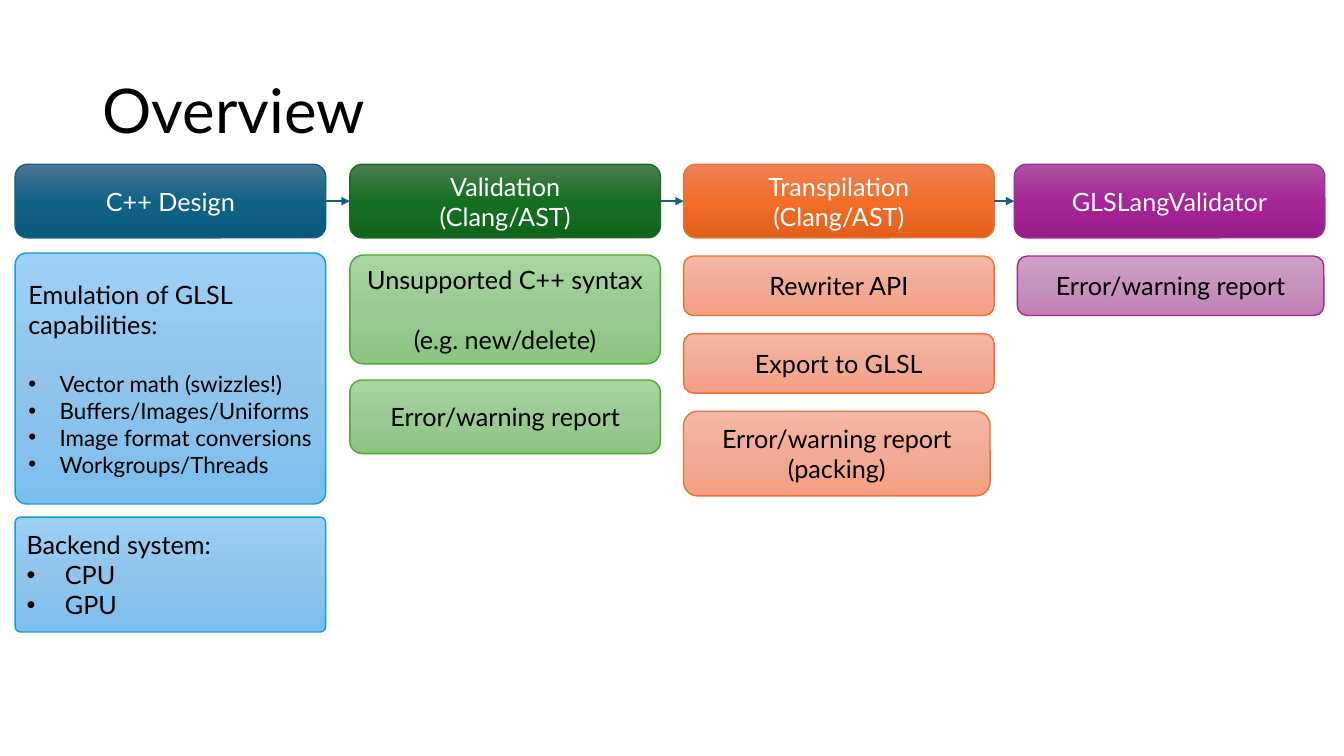
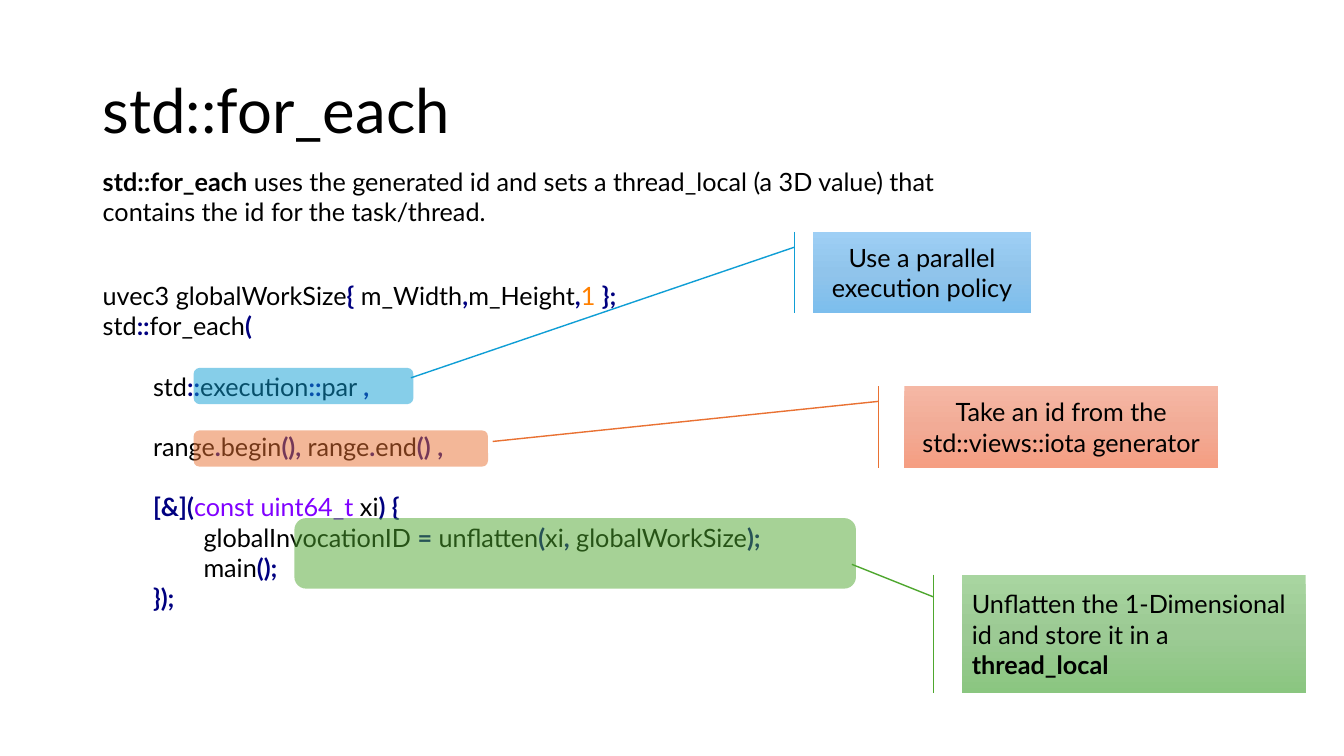
import copy
import itertools
from dataclasses import dataclass

import lxml.etree
import pptx
import pptx.dml.color
import pptx.enum.shapes
import pptx.enum.text
import pptx.oxml.ns
import pptx.shapes.autoshape
import pptx.slide
import pptx.text.text
import pptx.util

Inches, Pt = pptx.util.Inches, pptx.util.Pt
MSO_SHAPE = pptx.enum.shapes.MSO_SHAPE
PP_ALIGN = pptx.enum.text.PP_ALIGN
MIDDLE = pptx.enum.text.MSO_ANCHOR.MIDDLE
qn = pptx.oxml.ns.qn

# Shared style
FONT = "Lato"
BODY_SIZE = 18
BLANK_LINE = 21.6
COLORS = {
    "text": "000000", "white": "FFFFFF", "arrow": "156082",
    "blue": "0F9ED5", "green": "4EA72E", "orange": "E97132", "purple": "A02B93",
    "navy": "156082", "forest": "196B24",
    "symbol": "000080", "number": "FF8000", "keyword": "8000FF",
}
GRADIENTS = {
    "navy": ("4C7591", "106287", "09597D"),
    "forest": ("4D7E50", "156F21", "0F661B"),
    "vivid orange": ("ED8257", "F26E29", "E25F1A"),
    "vivid purple": ("AC53A0", "A62598", "991C8B"),
    "blue": ("9ECFF5", "90C4EB", "7CBEED"),
    "green": ("A8D5A0", "9CCA94", "8AC680"),
    "orange": ("F5B8A5", "F2AB96", "F59E82"),
    "purple": ("D0A0C8", "C693BD", "C17FB6"),
}


@dataclass(frozen=True)
class Line:
    text: str
    size: float = BODY_SIZE
    indent: float = 0
    gap: float = 0
    bold: str = ""


@dataclass(frozen=True)
class Detail:
    left: float
    top: float
    width: float
    height: float
    lines: tuple[Line, ...]
    centred: bool = True
    corner: float = 0.167


@dataclass(frozen=True)
class Stage:
    left: float
    heading: tuple[Line, ...]
    heading_fill: str
    heading_line: str
    detail_color: str
    details: tuple[Detail, ...]


@dataclass(frozen=True)
class Callout:
    color: str
    highlight: tuple[float, float, float, float]
    note: tuple[float, float, float, float]
    pointer: tuple[float, float]
    line: Line
    centred: bool = True


def rgb(name: str) -> pptx.dml.color.RGBColor:
    return pptx.dml.color.RGBColor.from_string(COLORS.get(name, name))


def add_run(paragraph: pptx.text.text._Paragraph, text: str, size: float,
            color: str, bold: bool = False) -> None:
    run = paragraph.add_run()
    run.text = text
    run.font.name = FONT
    run.font.size = Pt(size)
    run.font.bold = bold
    run.font.color.rgb = rgb(color)


def write_lines(frame: pptx.text.text.TextFrame, lines: tuple[Line, ...],
                color: str = "text", centred: bool = False) -> None:
    frame.word_wrap = True
    for number, line in enumerate(lines):
        paragraph = frame.add_paragraph() if number else frame.paragraphs[0]
        if line.indent:
            properties = paragraph._p.get_or_add_pPr()
            properties.set("marL", str(Inches(line.indent)))
            properties.set("indent", str(-Inches(line.indent)))
            lxml.etree.SubElement(properties, qn("a:buFont")).set("typeface", "Arial")
            lxml.etree.SubElement(properties, qn("a:buChar")).set("char", "•")
        paragraph.alignment = PP_ALIGN.CENTER if centred else PP_ALIGN.LEFT
        if line.gap:
            paragraph.space_before = Pt(line.gap)
        parts = line.text.partition(line.bold) if line.bold else (line.text,)
        for part in filter(None, parts):
            add_run(paragraph, part, line.size, color, part == line.bold)


def add_text(slide: pptx.slide.Slide, left: float, top: float, width: float,
             height: float) -> pptx.text.text.TextFrame:
    box = slide.shapes.add_textbox(Inches(left), Inches(top), Inches(width), Inches(height))
    box.text_frame.word_wrap = True
    return box.text_frame


def add_title(slide: pptx.slide.Slide, text: str) -> None:
    frame = add_text(slide, 0.92, 0.4, 11.5, 1.45)
    frame.vertical_anchor = MIDDLE
    write_lines(frame, (Line(text, 44),))
    frame.paragraphs[0].line_spacing = 0.9


def add_panel(slide: pptx.slide.Slide, kind: MSO_SHAPE, left: float, top: float,
              width: float, height: float) -> pptx.shapes.autoshape.Shape:
    panel = slide.shapes.add_shape(
        kind, Inches(left), Inches(top), Inches(width), Inches(height))
    panel.shadow.inherit = False
    panel.text_frame.vertical_anchor = MIDDLE
    return panel


def paint_gradient(panel: pptx.shapes.autoshape.Shape, gradient: str, outline: str) -> None:
    panel.fill.gradient()
    panel.fill.gradient_angle = 270
    first = panel.element.spPr.find(".//" + qn("a:gs"))
    first.addnext(copy.deepcopy(first))
    for number, (stop, color) in enumerate(zip(panel.fill.gradient_stops, GRADIENTS[gradient])):
        stop.position = number / 2
        stop.color.rgb = rgb(color)
    panel.line.color.rgb = rgb(outline)
    panel.line.width = Pt(1)


def add_arrow(slide: pptx.slide.Slide, start: float, end: float, y: float) -> None:
    arrow = slide.shapes.add_connector(
        pptx.enum.shapes.MSO_CONNECTOR.STRAIGHT,
        Inches(start), Inches(y), Inches(end), Inches(y))
    arrow.line.color.rgb = rgb("arrow")
    arrow.line.width = Pt(1.5)
    properties = arrow.element.spPr
    lxml.etree.SubElement(properties.find(qn("a:ln")), qn("a:tailEnd")).set("type", "triangle")
    lxml.etree.SubElement(properties, qn("a:effectLst"))


# Overview: pipeline stages
STAGE_TOP, STAGE_WIDTH, STAGE_HEIGHT = 1.63, 3.08, 0.73
REPORT = "Error/warning report"
STAGES = (
    Stage(0.15, (Line("C++ Design"),), "navy", "navy", "blue", (
        Detail(0.15, 2.51, 3.08, 2.49, (
            Line("Emulation of GLSL capabilities:"),
            Line("Vector math (swizzles!)", 16, 0.31, BLANK_LINE),
            Line("Buffers/Images/Uniforms", 16, 0.31),
            Line("Image format conversions", 16, 0.31),
            Line("Workgroups/Threads", 16, 0.31),
        ), False, 0.046),
        Detail(0.15, 5.13, 3.08, 1.14, (
            Line("Backend system:"), Line("CPU", indent=0.38), Line("GPU", indent=0.38),
        ), False, 0.046),
    )),
    Stage(3.47, (Line("Validation"), Line("(Clang/AST)")), "forest", "forest", "green", (
        Detail(3.47, 2.53, 3.08, 1.08, (
            Line("Unsupported C++ syntax"), Line("(e.g. new/delete)", gap=BLANK_LINE),
        ), corner=0.124),
        Detail(3.47, 3.77, 3.08, 0.73, (Line(REPORT),)),
    )),
    Stage(6.78, (Line("Transpilation"), Line("(Clang/AST)")), "vivid orange", "orange", "orange", (
        Detail(6.78, 2.54, 3.08, 0.59, (Line("Rewriter API"),)),
        Detail(6.78, 3.31, 3.08, 0.59, (Line("Export to GLSL"),)),
        Detail(6.78, 4.08, 3.04, 0.84, (Line(REPORT), Line("(packing)"))),
    )),
    Stage(10.06, (Line("GLSLangValidator"),), "vivid purple", "purple", "purple", (
        Detail(10.09, 2.54, 3.04, 0.59, (Line(REPORT),)),
    )),
)


def build_overview(slide: pptx.slide.Slide) -> None:
    add_title(slide, "Overview")
    for stage in STAGES:
        heading = add_panel(slide, MSO_SHAPE.ROUNDED_RECTANGLE,
                            stage.left, STAGE_TOP, STAGE_WIDTH, STAGE_HEIGHT)
        paint_gradient(heading, stage.heading_fill, stage.heading_line)
        write_lines(heading.text_frame, stage.heading, "white", True)
        for detail in stage.details:
            panel = add_panel(slide, MSO_SHAPE.ROUNDED_RECTANGLE,
                              detail.left, detail.top, detail.width, detail.height)
            panel.adjustments[0] = detail.corner
            paint_gradient(panel, stage.detail_color, stage.detail_color)
            write_lines(panel.text_frame, detail.lines, centred=detail.centred)
    for before, after in itertools.pairwise(STAGES):
        add_arrow(slide, before.left + STAGE_WIDTH, after.left, STAGE_TOP + STAGE_HEIGHT / 2)


# Code sample: a blank line stands before each argument
CODE = (
    Line("uvec3 globalWorkSize{ m_Width,m_Height,1 };"),
    Line("std::for_each("),
    Line("\tstd::execution::par ,", gap=BLANK_LINE),
    Line("\trange.begin(), range.end() ,", gap=BLANK_LINE),
    Line("\t[&](const uint64_t xi) {", gap=BLANK_LINE),
    Line("\t\tglobalInvocationID = unflatten(xi, globalWorkSize);"),
    Line("\t\tmain();"),
    Line("\t});"),
)
TOKEN_COLORS = {"const": "keyword", "uint64_t": "keyword", "1": "number"}
CALLOUTS = (
    Callout("blue", (1.92, 3.65, 2.18, 0.36), (8.06, 2.3, 2.17, 0.81), (1.789, -1.836),
            Line("Use a parallel execution policy")),
    Callout("orange", (1.92, 4.27, 2.92, 0.36), (8.97, 3.83, 3.11, 0.81), (0.679, -1.313),
            Line("Take an id from the std::views::iota generator")),
    Callout("green", (2.92, 5.14, 5.57, 0.7), (9.54, 5.7, 3.41, 1.18), (-0.086, -0.32),
            Line("Unflatten the 1-Dimensional id and store it in a thread_local",
                 bold="thread_local"), False),
)


def token_kind(character: str) -> str:
    if character.isspace():
        return "space"
    return "word" if character.isalnum() or character == "_" else "symbol"


def write_code(frame: pptx.text.text.TextFrame) -> None:
    for number, line in enumerate(CODE):
        paragraph = frame.add_paragraph() if number else frame.paragraphs[0]
        if line.gap:
            paragraph.space_before = Pt(line.gap)
        for kind, characters in itertools.groupby(line.text, token_kind):
            token = "".join(characters)
            is_symbol = kind == "symbol"
            color = "symbol" if is_symbol else TOKEN_COLORS.get(token, "text")
            add_run(paragraph, token, line.size, color, is_symbol)


def build_for_each(slide: pptx.slide.Slide) -> None:
    write_code(add_text(slide, 0.92, 2.73, 8.92, 3.43))
    add_title(slide, "std::for_each")
    write_lines(add_text(slide, 0.92, 1.6, 9.01, 0.71), (
        Line("std::for_each uses the generated id and sets a thread_local (a 3D value) "
             "that contains the id for the task/thread.", bold="std::for_each"),))
    for callout in CALLOUTS:
        # Half-transparent highlight over the code
        highlight = add_panel(slide, MSO_SHAPE.ROUNDED_RECTANGLE, *callout.highlight)
        highlight.fill.solid()
        highlight.fill.fore_color.rgb = rgb(callout.color)
        highlight.line.fill.background()
        tint = highlight.element.spPr.find(".//" + qn("a:srgbClr"))
        lxml.etree.SubElement(tint, qn("a:alpha")).set("val", "50000")
        # Explanation with a pointer to the highlight
        note = add_panel(slide, MSO_SHAPE.LINE_CALLOUT_1_ACCENT_BAR, *callout.note)
        for number, value in enumerate((0.188, -0.083, *callout.pointer)):
            note.adjustments[number] = value
        paint_gradient(note, callout.color, callout.color)
        write_lines(note.text_frame, (callout.line,), centred=callout.centred)


def main() -> None:
    deck = pptx.Presentation()
    deck.slide_width, deck.slide_height = Inches(13.33), Inches(7.5)
    for build in (build_overview, build_for_each):
        build(deck.slides.add_slide(deck.slide_layouts[6]))
    deck.save("out.pptx")


if __name__ == "__main__":
    main()
